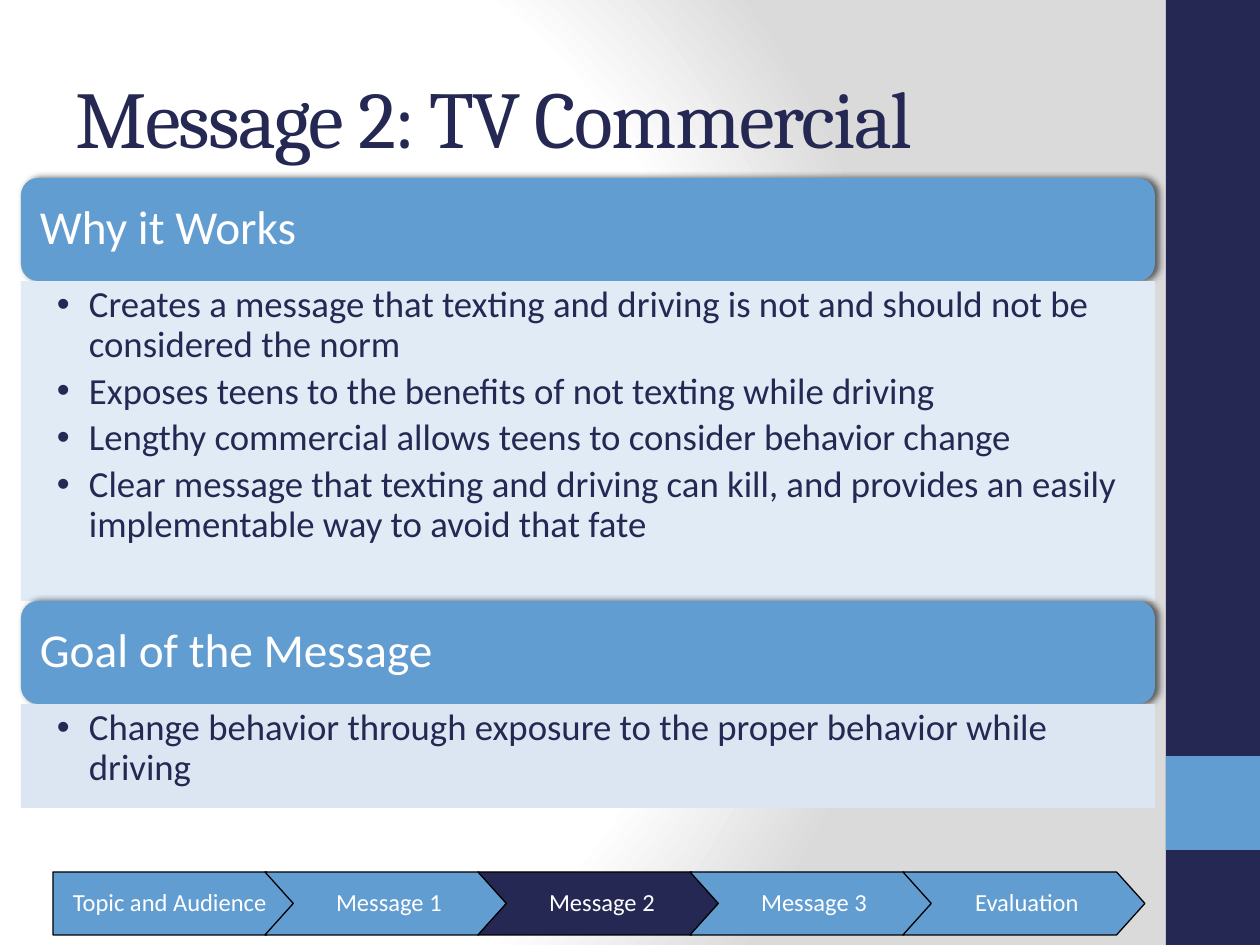
from lxml.etree import SubElement
from pptx import Presentation
from pptx.dml.color import RGBColor
from pptx.enum.shapes import MSO_SHAPE
from pptx.enum.text import MSO_ANCHOR, MSO_AUTO_SIZE, PP_ALIGN
from pptx.oxml import parse_xml
from pptx.oxml.ns import nsdecls, qn
from pptx.util import Pt

SCALE = 914400 / 126
NAVY, BLUE, WHITE, BLACK = "242852", "629DD1", "FFFFFF", "000000"


def px(n):
    return round(n * SCALE)


def rgb(code):
    return RGBColor.from_string(code)


class Deck:
    head, body = "Cambria", "Calibri"

    def __init__(self, wide, high):
        self.prs = Presentation()
        self.prs.slide_width, self.prs.slide_height = px(wide), px(high)
        self.slide = self.prs.slides.add_slide(self.prs.slide_layouts[5])

    def backdrop(self, stops):
        fill = self.slide.background.fill
        fill.solid()
        marks = "".join(
            f'<a:gs pos="{at * 1000}"><a:srgbClr val="{code}"/></a:gs>'
            for at, code in stops)
        grad = parse_xml(
            f'<a:gradFill rotWithShape="1" {nsdecls("a")}><a:gsLst>{marks}</a:gsLst>'
            '<a:path path="circle"><a:fillToRect l="20000" t="50000" '
            'r="100000" b="50000"/></a:path></a:gradFill>')
        old = self.slide.background._cSld.find(".//" + qn("a:solidFill"))
        old.getparent().replace(old, grad)

    def title(self, text, box):
        shape = self.slide.shapes.title
        shape.left, shape.top, shape.width, shape.height = map(px, box)
        frame = shape.text_frame
        frame.auto_size = MSO_AUTO_SIZE.NONE
        frame.vertical_anchor = MSO_ANCHOR.MIDDLE
        para = frame.paragraphs[0]
        para.alignment = PP_ALIGN.LEFT
        run = self.run(para, text, 46, NAVY, self.head)
        run._r.get_or_add_rPr().set("spc", "-100")

    def shape(self, kind, box, fill, line=None):
        shape = self.slide.shapes.add_shape(kind, *map(px, box))
        shape.shadow.inherit = False
        shape.fill.solid()
        shape.fill.fore_color.rgb = rgb(fill)
        if line:
            shape.line.color.rgb = rgb(line)
            shape.line.width = Pt(0.75)
        else:
            shape.line.fill.background()
        return shape

    def run(self, para, text, size, color, font=None):
        run = para.add_run()
        run.text = text
        run.font.size, run.font.name = Pt(size), font or self.body
        run.font.color.rgb = rgb(color)
        return run

    def frame(self, shape, left, top, right, base, anchor=MSO_ANCHOR.MIDDLE):
        frame = shape.text_frame
        frame.word_wrap = True
        frame.vertical_anchor = anchor
        frame.margin_left, frame.margin_right = px(left), px(right)
        frame.margin_top, frame.margin_bottom = px(top), px(base)
        return frame

    def para(self, frame, first, align=PP_ALIGN.LEFT):
        para = frame.paragraphs[0] if first else frame.add_paragraph()
        para.alignment = align
        para.line_spacing = 0.9
        return para

    def header(self, text, box):
        shape = self.shape(MSO_SHAPE.ROUNDED_RECTANGLE, box, BLUE)
        glow = shape._element.spPr.find(qn("a:effectLst"))
        glow.append(parse_xml(
            f'<a:outerShdw {nsdecls("a")} blurRad="{Pt(4)}" dist="{Pt(2)}" dir="0" '
            f'rotWithShape="0"><a:srgbClr val="{BLACK}"><a:alpha val="60000"/>'
            '</a:srgbClr></a:outerShdw>'))
        frame = self.frame(shape, 14, 14, 14, 14)
        self.run(self.para(frame, True), text, 27, WHITE)

    def bullets(self, items, box, fill):
        shape = self.shape(MSO_SHAPE.RECTANGLE, box, fill)
        frame = self.frame(shape, 36, 5, 26, 5, MSO_ANCHOR.TOP)
        for i, text in enumerate(items):
            para = self.para(frame, i == 0)
            para.space_after = Pt(4)
            props = para._p.get_or_add_pPr()
            props.set("marL", str(px(32)))
            props.set("indent", str(-px(32)))
            SubElement(props, qn("a:buFont")).set("typeface", "Arial")
            SubElement(props, qn("a:buChar")).set("char", "•")
            self.run(para, text, 21, NAVY)

    def step(self, text, kind, box, fill):
        shape = self.shape(kind, box, fill, BLACK)
        shape.adjustments[0] = 0.45
        frame = self.frame(shape, 12, 6, 6, 6)
        self.run(self.para(frame, True, PP_ALIGN.CENTER), text, 14, WHITE)


def main():
    deck = Deck(1260, 945)
    deck.backdrop([(0, WHITE), (75, WHITE), (100, "DADADA")])
    deck.title("Message 2: TV Commercial", (63, 38, 1050, 157))

    # Side band
    deck.shape(MSO_SHAPE.RECTANGLE, (1166, 0, 94, 945), NAVY)
    deck.shape(MSO_SHAPE.RECTANGLE, (1166, 756, 94, 94), BLUE)

    # Progress steps
    steps = ["Topic and Audience", "Message 1", "Message 2", "Message 3", "Evaluation"]
    for i, text in enumerate(steps):
        kind = MSO_SHAPE.CHEVRON if i else MSO_SHAPE.PENTAGON
        fill = NAVY if text == "Message 2" else BLUE
        deck.step(text, kind, (53 + 425 * i // 2, 872, 242, 63), fill)

    # Stacked sections
    parts = [
        ("Why it Works", 320, "E0EBF6", [
            "Creates a message that texting and driving is not and should not be "
            "considered the norm",
            "Exposes teens to the benefits of not texting while driving",
            "Lengthy commercial allows teens to consider behavior change",
            "Clear message that texting and driving can kill, and provides an easily "
            "implementable way to avoid that fate"]),
        ("Goal of the Message", 104, "DCE6F2", [
            "Change behavior through exposure to the proper behavior while driving"]),
    ]
    left, top, wide, bar = 21, 178, 1134, 103
    for name, high, fill, items in parts:
        deck.header(name, (left, top, wide, bar))
        deck.bullets(items, (left, top + bar, wide, high), fill)
        top += bar + high

    deck.prs.save("out.pptx")


if __name__ == "__main__":
    main()
